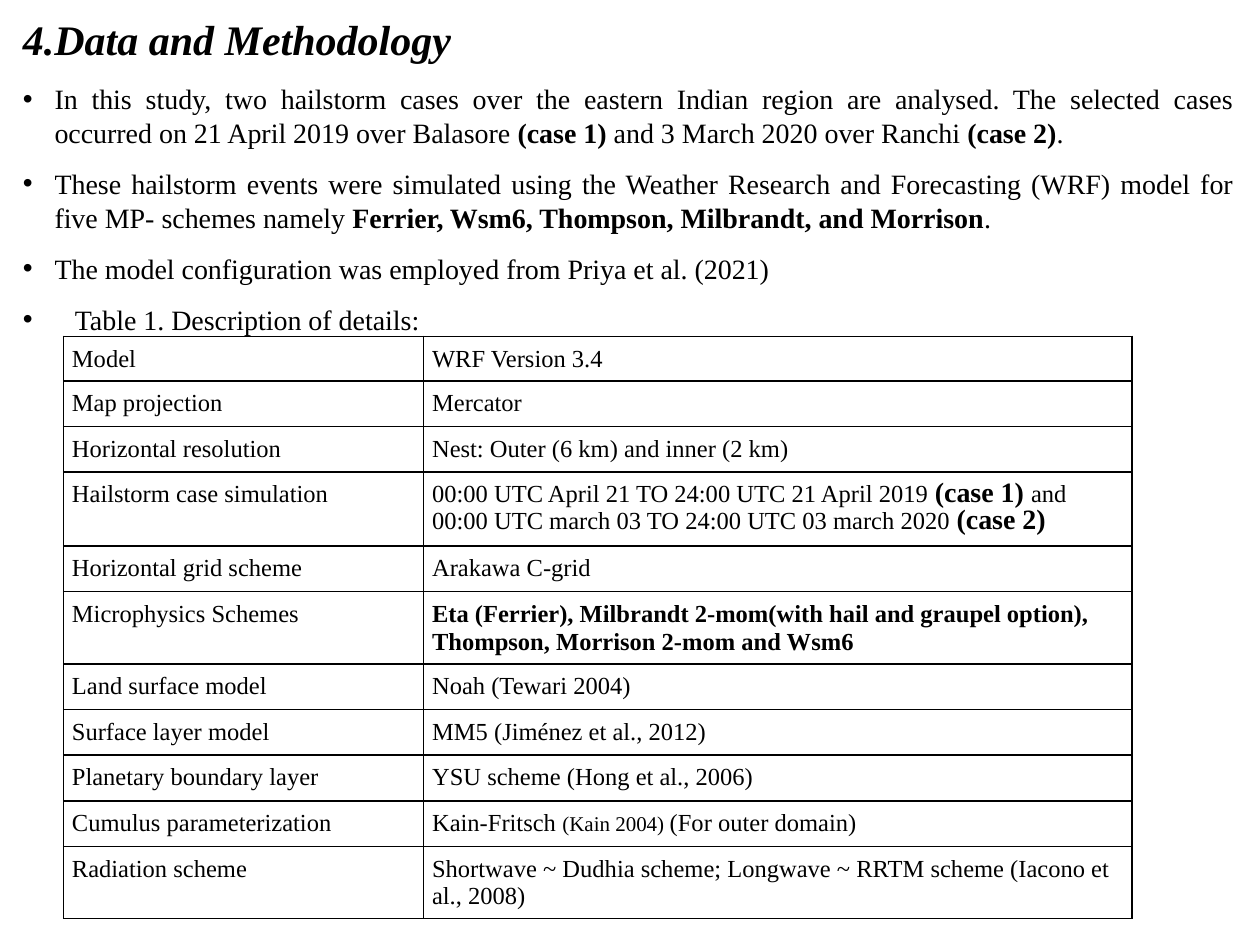
from dataclasses import dataclass

from lxml.etree import SubElement
from pptx import Presentation
from pptx.dml.color import RGBColor
from pptx.enum.text import MSO_ANCHOR, PP_ALIGN as Align
from pptx.oxml.ns import qn
from pptx.util import Cm, Pt

COLORS = {"ink": "000000"}
FONT = "Times New Roman"
BORDER = Pt(0.95)
CELL_MARGIN = Cm(0.17)
BULLET_INDENT = Cm(0.64)
CAPTION_INDENT = Cm(1.05)


@dataclass(frozen=True)
class Span:
    text: str
    bold: bool = False
    size: float | None = None


@dataclass(frozen=True)
class Bullet:
    spans: list[Span]
    indent: int = BULLET_INDENT


@dataclass(frozen=True)
class Row:
    label: str
    lines: list[list[Span]]
    height: float = 0.92


BULLETS = [
    Bullet([
        Span("In this study, two hailstorm cases over the eastern Indian region are analysed. "
             "The selected cases occurred on 21 April 2019 over Balasore "),
        Span("(case 1)", True),
        Span(" and 3 March 2020 over Ranchi "),
        Span("(case 2)", True),
        Span("."),
    ]),
    Bullet([
        Span("These hailstorm events were simulated using the Weather Research and "
             "Forecasting (WRF) model for five MP- schemes namely "),
        Span("Ferrier, Wsm6, Thompson, Milbrandt, and Morrison", True),
        Span("."),
    ]),
    Bullet([Span("The model configuration was employed from Priya et al. (2021)")]),
    Bullet([Span("Table 1. Description of details:")], CAPTION_INDENT),
]

ROWS = [
    Row("Model", [[Span("WRF Version 3.4")]], 0.88),
    Row("Map projection", [[Span("Mercator")]]),
    Row("Horizontal resolution", [[Span("Nest: Outer (6 km) and inner (2 km)")]]),
    Row("Hailstorm case simulation", [
        [Span("00:00 UTC April 21 TO 24:00 UTC 21 April 2019 "),
         Span("(case 1) ", True, 16), Span("and")],
        [Span("00:00 UTC march 03 TO 24:00 UTC 03 march 2020 "),
         Span("(case 2)", True, 16)],
    ], 1.49),
    Row("Horizontal grid scheme", [[Span("Arakawa C-grid")]]),
    Row("Microphysics Schemes", [[
        Span("Eta (Ferrier), Milbrandt 2-mom(with hail and graupel option), "
             "Thompson, Morrison 2-mom and Wsm6", True)]], 1.45),
    Row("Land surface model", [[Span("Noah (Tewari 2004)")]]),
    Row("Surface layer model", [[Span("MM5 (Jiménez et al., 2012)")]]),
    Row("Planetary boundary layer", [[Span("YSU scheme (Hong et al., 2006)")]]),
    Row("Cumulus parameterization", [[
        Span("Kain-Fritsch "), Span("(Kain 2004) ", size=12), Span("(For outer domain)")]]),
    Row("Radiation scheme", [[
        Span("Shortwave ~ Dudhia scheme; Longwave ~ RRTM scheme (Iacono et al., 2008)")]], 1.45),
]


def color(name: str) -> RGBColor:
    return RGBColor.from_string(COLORS[name])


def write_spans(para, spans: list[Span], size: float) -> None:
    para.font.name = FONT
    para.font.size = Pt(size)
    para.font.color.rgb = color("ink")
    for span in spans:
        run = para.add_run()
        run.text = span.text
        run.font.bold = span.bold
        if span.size:
            run.font.size = Pt(span.size)


def add_bullet(frame, bullet: Bullet) -> None:
    para = frame.add_paragraph()
    para.alignment = Align.JUSTIFY
    para.space_before = Pt(10)
    para.line_spacing = 1.0
    properties = para._p.get_or_add_pPr()
    properties.set("marL", str(bullet.indent))
    properties.set("indent", str(-bullet.indent))
    SubElement(properties, qn("a:buFont"), typeface="Arial")
    SubElement(properties, qn("a:buChar"), char="•")
    write_spans(para, bullet.spans, 16)


def add_body(slide) -> None:
    box = slide.shapes.add_textbox(Cm(0.21), Cm(0.26), Cm(24.92), Cm(18.52))
    frame = box.text_frame
    frame.word_wrap = True
    title = frame.paragraphs[0]
    title.line_spacing = 0.9
    write_spans(title, [Span("4.Data and Methodology", True)], 24)
    title.font.italic = True
    for bullet in BULLETS:
        add_bullet(frame, bullet)


def outline_cell(cell) -> None:
    """Draw all four borders; they must come before the fill in the cell's XML."""
    properties = cell._tc.get_or_add_tcPr()
    for side in ("a:lnL", "a:lnR", "a:lnT", "a:lnB"):
        line = SubElement(properties, qn(side), w=str(BORDER))
        fill = SubElement(line, qn("a:solidFill"))
        SubElement(fill, qn("a:srgbClr"), val=COLORS["ink"])


def fill_cell(cell, lines: list[list[Span]]) -> None:
    outline_cell(cell)
    cell.fill.background()
    cell.vertical_anchor = MSO_ANCHOR.TOP
    cell.margin_left = cell.margin_right = CELL_MARGIN
    cell.margin_top = cell.margin_bottom = CELL_MARGIN
    frame = cell.text_frame
    for index, spans in enumerate(lines):
        para = frame.add_paragraph() if index else frame.paragraphs[0]
        para.line_spacing = Pt(15.8)
        write_spans(para, spans, 14)


def add_details_table(slide) -> None:
    height = Cm(sum(row.height for row in ROWS))
    frame = slide.shapes.add_table(len(ROWS), 2, Cm(1.28), Cm(6.78), Cm(21.54), height)
    table = frame.table
    table.first_row = table.horz_banding = False
    table.columns[0].width = Cm(7.26)
    table.columns[1].width = Cm(14.28)
    for index, row in enumerate(ROWS):
        table.rows[index].height = Cm(row.height)
        fill_cell(table.cell(index, 0), [[Span(row.label)]])
        fill_cell(table.cell(index, 1), row.lines)


def main() -> None:
    deck = Presentation()
    deck.slide_width, deck.slide_height = Cm(25.4), Cm(19.05)
    slide = deck.slides.add_slide(deck.slide_layouts[6])
    add_body(slide)
    add_details_table(slide)
    deck.save("out.pptx")


if __name__ == "__main__":
    main()
